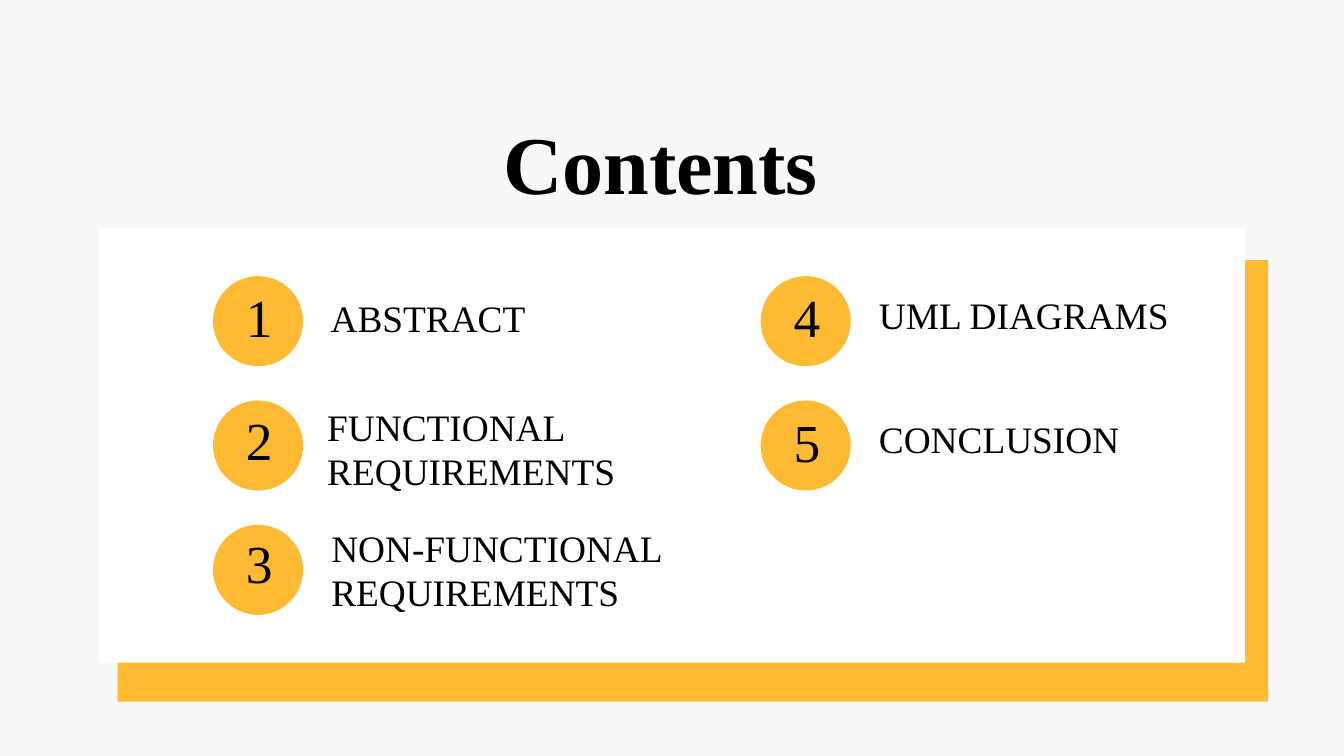
from dataclasses import dataclass
from typing import Optional

from pptx import Presentation
from pptx import util as u
from pptx.dml.color import RGBColor
from pptx.enum import shapes, text

PX = 9144  # 100 px to the inch


@dataclass(frozen=True)
class Theme:
    font: str = "Times New Roman"
    back: str = "F8F8F8"
    card: str = "FFFFFF"
    gold: str = "FEBA32"
    ink: str = "000000"
    title: float = 88
    digit: float = 57.3
    label: float = 40


@dataclass(frozen=True)
class Box:
    x: int
    y: int
    w: int
    h: int

    def emu(self) -> list[u.Emu]:
        return [u.Emu(n * PX) for n in (self.x, self.y, self.w, self.h)]


@dataclass(frozen=True)
class Item:
    col: int
    row: int
    rise: int  # digit top below the disc top
    label: Box
    lines: tuple[str, ...]
    pitch: Optional[float] = None


T = Theme()
LEFT, TOP, DISC = 317, 411, 134
COL, ROW = 815, 185

ITEMS = [
    Item(0, 0, 20, Box(492, 470, 490, 40), ("ABSTRACT",), 26.4),
    Item(0, 1, 17, Box(487, 601, 610, 135), ("FUNCTIONAL REQUIREMENTS",)),
    Item(0, 2, 15, Box(493, 781, 603, 135), ("NON-FUNCTIONAL", "REQUIREMENTS")),
    Item(1, 0, 20, Box(1308, 465, 553, 40), ("UML DIAGRAMS",), 26.4),
    Item(1, 1, 20, Box(1308, 649, 462, 40), ("CONCLUSION",), 26.4),
]


def fill(slide, kind: shapes.MSO_SHAPE, box: Box, hue: str) -> None:
    shape = slide.shapes.add_shape(kind, *box.emu())
    shape.shadow.inherit = False
    shape.fill.solid()
    shape.fill.fore_color.rgb = RGBColor.from_string(hue)
    shape.line.fill.background()


def write(shape, lines: tuple[str, ...], size: float, pitch: Optional[float] = None,
          bold: bool = False, align=text.PP_ALIGN.LEFT) -> None:
    frame = shape.text_frame
    frame.word_wrap = True
    frame.auto_size = text.MSO_AUTO_SIZE.NONE
    frame.vertical_anchor = text.MSO_ANCHOR.TOP
    frame.margin_left = frame.margin_right = 0
    frame.margin_top = frame.margin_bottom = 0
    for i, line in enumerate(lines):
        para = frame.add_paragraph() if i else frame.paragraphs[0]
        para.alignment = align
        if pitch:
            para.line_spacing = u.Pt(pitch)
        run = para.add_run()
        run.text = line
        run.font.name = T.font
        run.font.size = u.Pt(size)
        run.font.bold = bold
        run.font.color.rgb = RGBColor.from_string(T.ink)


def entry(slide, num: int, item: Item) -> None:
    x, y = LEFT + item.col * COL, TOP + item.row * ROW
    fill(slide, shapes.MSO_SHAPE.OVAL, Box(x, y, DISC, DISC), T.gold)
    digit = slide.shapes.add_textbox(*Box(x + 49, y + item.rise, 60, 90).emu())
    write(digit, (str(num),), T.digit, 63)
    label = slide.shapes.add_textbox(*item.label.emu())
    write(label, item.lines, T.label, item.pitch)


def main() -> None:
    deck = Presentation()
    deck.slide_width, deck.slide_height = u.Inches(20), u.Inches(11.25)
    slide = deck.slides.add_slide(deck.slide_layouts[5])
    slide.background.fill.solid()
    slide.background.fill.fore_color.rgb = RGBColor.from_string(T.back)

    # Title
    title = slide.shapes.title
    title.left, title.top, title.width, title.height = Box(548, 138, 870, 161).emu()
    write(title, ("Contents",), T.title, 126.3, True, text.PP_ALIGN.CENTER)

    # White card over its gold offset
    fill(slide, shapes.MSO_SHAPE.RECTANGLE, Box(175, 387, 1712, 657), T.gold)
    fill(slide, shapes.MSO_SHAPE.RECTANGLE, Box(147, 339, 1706, 647), T.card)

    # Numbered entries
    for num, item in enumerate(ITEMS, 1):
        entry(slide, num, item)

    deck.save("out.pptx")


if __name__ == "__main__":
    main()
